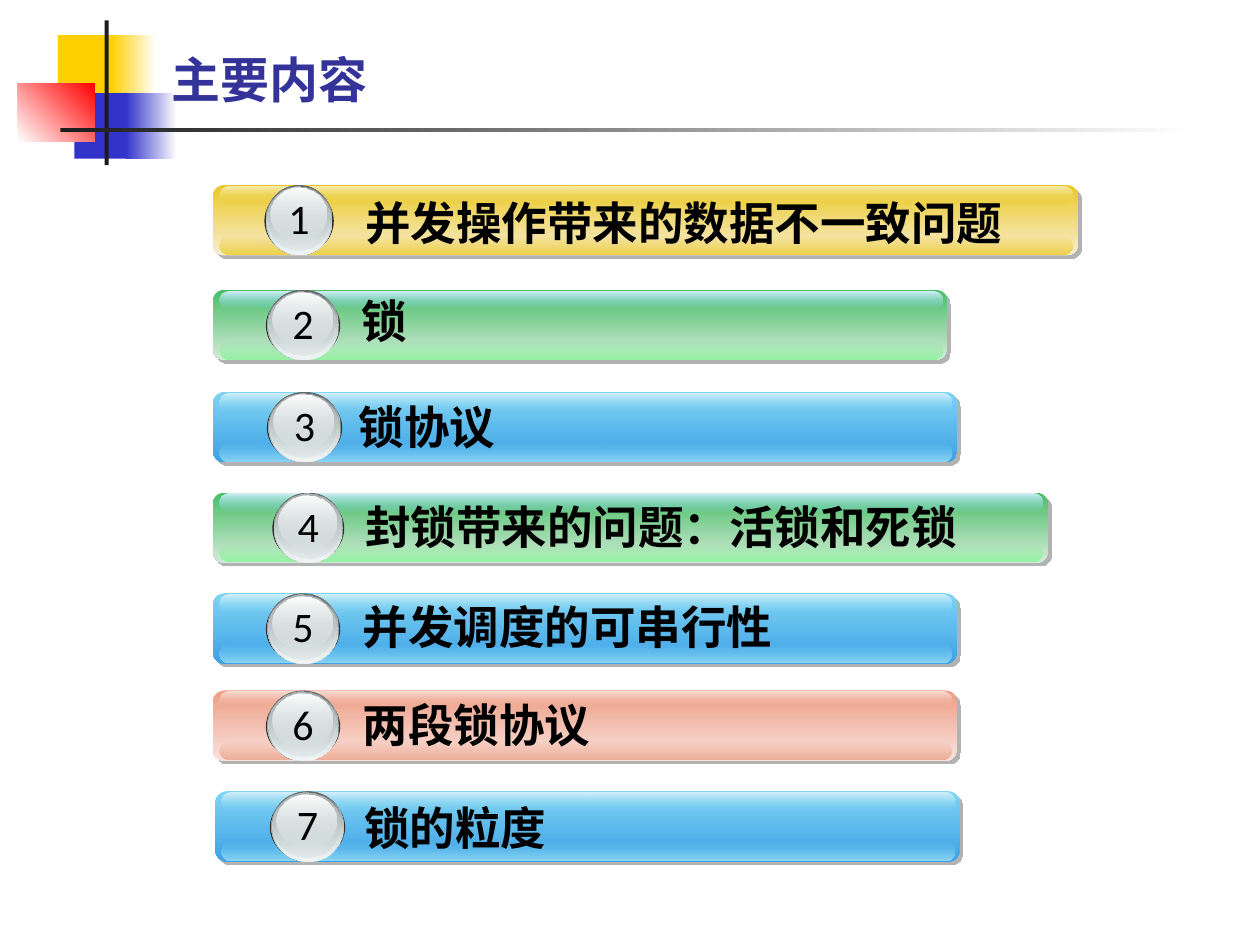
import pptx
import pptx.dml.color
import pptx.enum.shapes
import pptx.enum.text
import pptx.oxml.ns
import pptx.util
import lxml.etree

Cm = pptx.util.Cm
Pt = pptx.util.Pt
qn = pptx.oxml.ns.qn
KIND = pptx.enum.shapes.MSO_SHAPE
ALIGN = pptx.enum.text.PP_ALIGN
ANCHOR = pptx.enum.text.MSO_ANCHOR
CJK = "Noto Sans CJK SC"

COLORS = {
    "white": "FFFFFF", "black": "000000", "ink": "1C1C1C", "title": "333399",
    "yellow": "FFCF01", "blue": "3333CC", "red": "FF0000", "shadow": "B2B2B2",
    "rim": "333333", "steel": "636869", "silver": "D6E1E2", "pale": "F1F5F5", "gray": "AAB2B3",
}

# Per theme: (start, end) of the bar, its lower gloss and its upper gloss
THEMES = {
    "gold": (("EAC924", "F8EDD2"), ("EAC924", "EDD03F"), ("F8EDB6", "EAC924")),
    "green": (("48BE67", "D4EAD8"), ("82F094", "91F2A1"), ("D5F1FB", "80D4F2")),
    "sky": (("80D4F2", "3CA1E6"), ("80D4F2", "8FD9F4"), ("D5F1FB", "80D4F2")),
    "coral": (("ED9E85", "F9E2DD"), ("ED9E85", "EFAA94"), ("F9DFD6", "ED9E85")),
}

# text, theme, bar left, top, width, text left, text top, badge left, badge width (cm)
TOPICS = [
    ("并发操作带来的数据不一致问题", "gold", 4.29, 3.73, 17.45, 7.11, 3.81, 5.33, 1.40),
    ("锁", "green", 4.29, 5.84, 14.81, 7.04, 5.79, 5.36, 1.50),
    ("锁协议", "sky", 4.29, 7.90, 15.01, 6.98, 7.92, 5.38, 1.52),
    ("封锁带来的问题：活锁和死锁", "green", 4.29, 9.93, 16.84, 7.11, 9.93, 5.49, 1.45),
    ("并发调度的可串行性", "sky", 4.29, 11.96, 15.01, 7.06, 11.96, 5.36, 1.50),
    ("两段锁协议", "coral", 4.29, 13.92, 15.01, 7.06, 13.92, 5.36, 1.50),
    ("锁的粒度", "sky", 4.34, 15.95, 15.01, 7.09, 16.00, 5.44, 1.52),
]

# Badge layers: left and width as shares of the badge, top and height in cm, fill stops
BADGE_LAYERS = [
    (0, 1, 0.05, 1.35, [("rim", 100)]),
    (0.02, 0.96, 0, 1.42, [("steel", 100), ("silver", 100)]),
    (0.03, 0.94, 0.01, 1.40, [("silver", 0), ("pale", 100)]),
    (0.04, 0.90, 0.03, 1.30, [("gray", 100), ("silver", 48)]),
    (0.09, 0.80, 0.06, 1.06, [("white", 100), ("silver", 38)]),
]

# Corner ornament: left, top, width, height (cm), fill stops, clockwise angle
ORNAMENT = [
    (1.17, 0.71, 1.22, 1.32, ["yellow"], 0),
    (2.24, 0.71, 0.91, 1.32, ["yellow", "white"], 0),
    (1.50, 1.88, 1.17, 1.32, ["blue"], 0),
    (2.54, 1.88, 1.02, 1.32, ["blue", "white"], 0),
    (0.36, 1.68, 1.55, 1.17, ["white", "red"], 315),
    (2.11, 0.41, 0.08, 2.92, ["ink"], 0),
    (1.22, 2.59, 22.86, 0.08, ["ink", "white"], 0),
]


def rgb(value):
    return pptx.dml.color.RGBColor.from_string(value)


def add_panel(shapes, kind, area, stops, angle=90):
    """Borderless shape; stops are (hex, opacity percent), one for a solid fill."""
    panel = shapes.add_shape(kind, *map(Cm, area))
    panel.shadow.inherit = False
    panel.line.fill.background()
    if len(stops) == 1:
        panel.fill.solid()
        panel.fill.fore_color.rgb = rgb(stops[0][0])
        return panel
    panel.fill.gradient()
    panel.fill.gradient_angle = (360 - angle) % 360
    for stop, (color, _) in zip(panel.fill.gradient_stops, stops):
        stop.color.rgb = rgb(color)
    nodes = panel._element.spPr.find(qn("a:gradFill")).iter(qn("a:srgbClr"))
    for node, (_, opacity) in zip(list(nodes), stops):
        if opacity < 100:
            lxml.etree.SubElement(node, qn("a:alpha"), val=str(opacity * 1000))
    return panel


def add_shadow(effects, color, distance):
    shadow = lxml.etree.SubElement(effects, qn("a:outerShdw"), blurRad="0",
                                   dist=str(int(Pt(distance))), dir="2700000",
                                   algn="ctr", rotWithShape="0")
    lxml.etree.SubElement(shadow, qn("a:srgbClr"), val=COLORS[color])


def add_span(para, text, size, font, color, bold=False):
    span = para.add_run()
    span.text = text
    span.font.size = Pt(size)
    span.font.bold = bold
    span.font.color.rgb = rgb(COLORS[color])
    span.font.name = font
    lxml.etree.SubElement(span._r.get_or_add_rPr(), qn("a:ea"), typeface=CJK)
    return span


def add_label(shapes, area, text, size, font, bold=False, align=ALIGN.LEFT):
    box = shapes.add_textbox(*map(Cm, area))
    box.text_frame.word_wrap = True
    para = box.text_frame.paragraphs[0]
    para.alignment = align
    add_span(para, text, size, font, "black", bold)


def add_bar(shapes, theme, left, top, width):
    body, lower, upper = THEMES[theme]
    bar = add_panel(shapes, KIND.ROUNDED_RECTANGLE, (left, top, width, 1.42),
                    [(color, 100) for color in body])
    bar.adjustments[0] = 0.17
    add_shadow(bar._element.spPr.find(qn("a:effectLst")), "shadow", 2.8)
    for offset, colors, opacities in ((1.04, lower, (0, 100)), (0.03, upper, (100, 0))):
        gloss = add_panel(shapes, KIND.ROUNDED_RECTANGLE,
                          (left + 0.13, top + offset, width - 0.24, 0.36),
                          list(zip(colors, opacities)))
        gloss.adjustments[0] = 0.5


def add_badge(shapes, number, left, top, width):
    for start, share, offset, height, stops in BADGE_LAYERS:
        add_panel(shapes, KIND.OVAL, (left + start * width, top + offset, share * width, height),
                  [(COLORS[name], opacity) for name, opacity in stops])
    add_label(shapes, (left, top + 0.03, width, 1.27), str(number), 24, "Calibri",
              align=ALIGN.CENTER)


def add_topic(page, number, topic):
    text, theme, left, top, width, text_left, text_top, badge_left, badge_width = topic
    shapes = page.shapes.add_group_shape().shapes
    add_bar(shapes, theme, left, top, width)
    add_label(shapes, (text_left, text_top, left + width - text_left, 1.35), text, 26, CJK, True)
    add_badge(shapes, number, badge_left, top, badge_width)


def add_ornament(page):
    for *area, names, angle in ORNAMENT:
        add_panel(page.shapes, KIND.RECTANGLE, area, [(COLORS[name], 100) for name in names], angle)


def fill_title(page, text):
    title = page.shapes.title
    title.left, title.top, title.width, title.height = map(Cm, (3.20, 0.58, 21.64, 1.73))
    frame = title.text_frame
    frame.auto_size = pptx.enum.text.MSO_AUTO_SIZE.NONE
    frame.vertical_anchor = ANCHOR.BOTTOM
    para = frame.paragraphs[0]
    para.alignment = ALIGN.LEFT
    span = add_span(para, text, 28, "Karla", "title", True)
    # Text shadow sits right after the run's colour
    effects = lxml.etree.Element(qn("a:effectLst"))
    add_shadow(effects, "black", 1.5)
    span._r.rPr.find(qn("a:solidFill")).addnext(effects)
    # Keep the title in front of the ornament
    page.shapes._spTree.append(title._element)


def main():
    deck = pptx.Presentation()
    deck.slide_width, deck.slide_height = Cm(25.4), Cm(19.05)
    page = deck.slides.add_slide(deck.slide_layouts[5])
    add_ornament(page)
    fill_title(page, "主要内容")
    for number, topic in enumerate(TOPICS, 1):
        add_topic(page, number, topic)
    deck.save("out.pptx")


if __name__ == "__main__":
    main()
